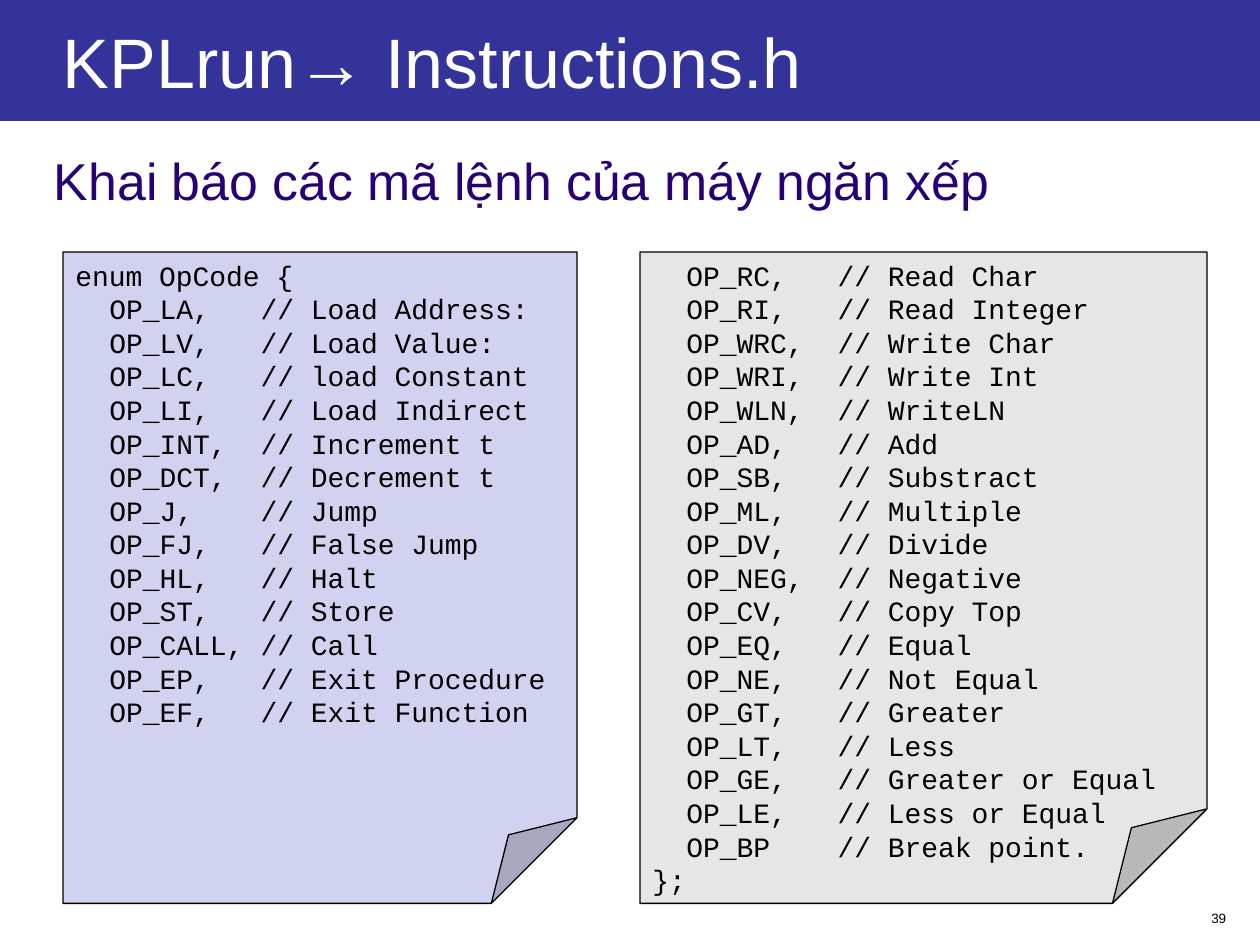
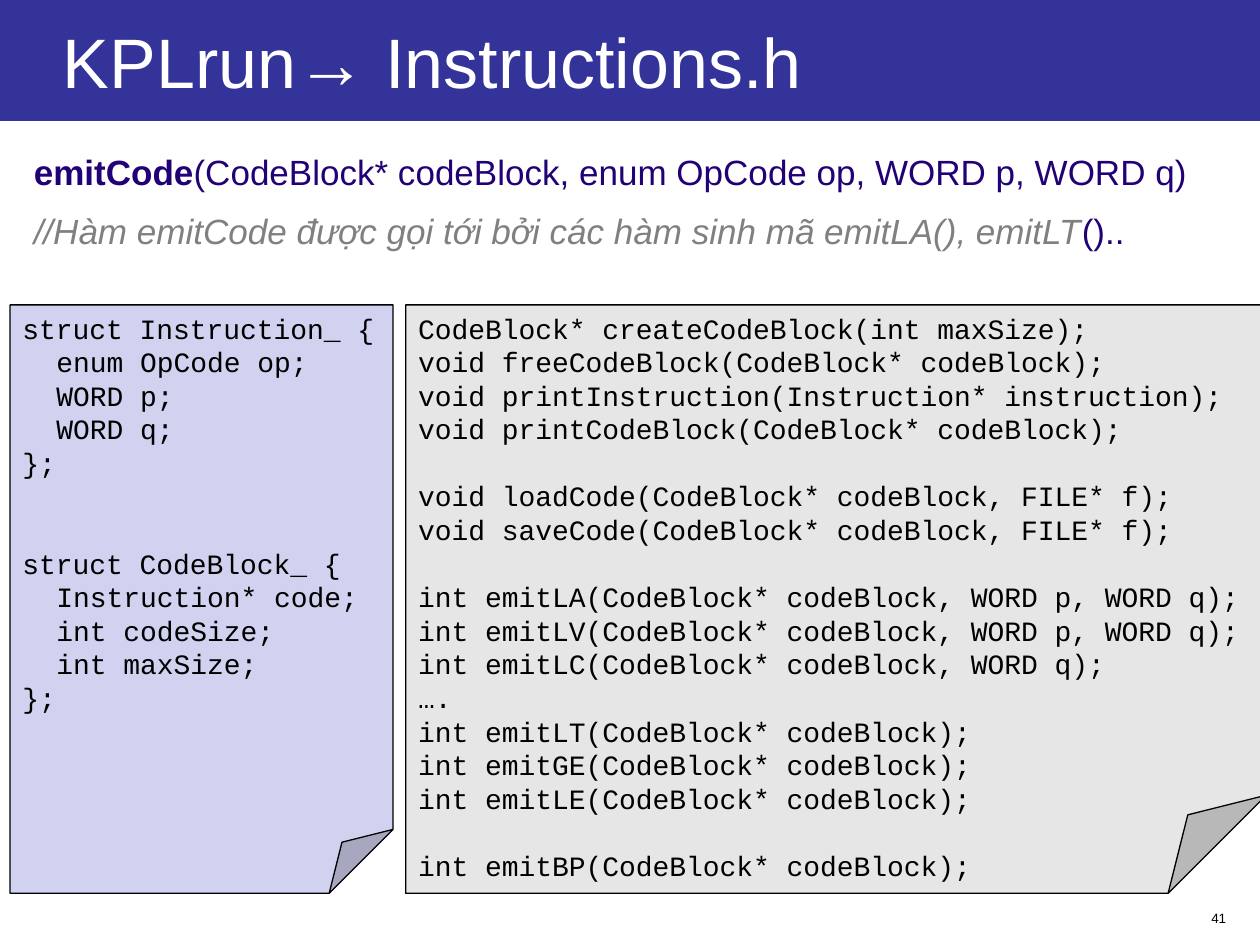
from lxml import etree
from pptx import Presentation
from pptx.dml.color import RGBColor
from pptx.enum.shapes import MSO_SHAPE
from pptx.enum.text import MSO_ANCHOR, PP_ALIGN
from pptx.oxml.ns import qn
from pptx.util import Inches, Pt

RECTANGLE = MSO_SHAPE.RECTANGLE
FOLDED_CORNER = MSO_SHAPE.FOLDED_CORNER
LEFT, RIGHT = PP_ALIGN.LEFT, PP_ALIGN.RIGHT
TOP, MIDDLE = MSO_ANCHOR.TOP, MSO_ANCHOR.MIDDLE

COLORS = {
    "band": "333399",
    "white": "FFFFFF",
    "black": "000000",
    "heading": "270076",
    "signature": "220076",
    "remark": "808080",
    "lilac": "D1D1F0",
    "gray": "E6E6E6",
}
TEXT_FONT = "Arial"
CODE_FONT = "Courier New"
CODE_SIZE = 16
CODE_LINE = 19.2
CODE_TABS = (0.27, 1.47)  # code indent and comment column, in inches
HANGING = 0.38
TITLE = "KPLrun→ Instructions.h"

OPCODES_LEFT = """enum OpCode {
\tOP_LA,\t// Load Address:
\tOP_LV,\t// Load Value:
\tOP_LC,\t// load Constant
\tOP_LI,\t// Load Indirect
\tOP_INT,\t// Increment t
\tOP_DCT,\t// Decrement t
\tOP_J,\t// Jump
\tOP_FJ,\t// False Jump
\tOP_HL,\t// Halt
\tOP_ST,\t// Store
\tOP_CALL,\t// Call
\tOP_EP,\t// Exit Procedure
\tOP_EF,\t// Exit Function"""

OPCODES_RIGHT = """\tOP_RC,\t// Read Char
\tOP_RI,\t// Read Integer
\tOP_WRC,\t// Write Char
\tOP_WRI,\t// Write Int
\tOP_WLN,\t// WriteLN
\tOP_AD,\t// Add
\tOP_SB,\t// Substract
\tOP_ML,\t// Multiple
\tOP_DV,\t// Divide
\tOP_NEG,\t// Negative
\tOP_CV,\t// Copy Top
\tOP_EQ,\t// Equal
\tOP_NE,\t// Not Equal
\tOP_GT,\t// Greater
\tOP_LT,\t// Less
\tOP_GE,\t// Greater or Equal
\tOP_LE,\t// Less or Equal
\tOP_BP\t// Break point.
};"""

STRUCTS = """struct Instruction_ {
\tenum OpCode op;
\tWORD p;
\tWORD q;
};


struct CodeBlock_ {
\tInstruction* code;
\tint codeSize;
\tint maxSize;
};"""

FUNCTIONS = """CodeBlock* createCodeBlock(int maxSize);
void freeCodeBlock(CodeBlock* codeBlock);
void printInstruction(Instruction* instruction);
void printCodeBlock(CodeBlock* codeBlock);

void loadCode(CodeBlock* codeBlock, FILE* f);
void saveCode(CodeBlock* codeBlock, FILE* f);

int emitLA(CodeBlock* codeBlock, WORD p, WORD q);
int emitLV(CodeBlock* codeBlock, WORD p, WORD q);
int emitLC(CodeBlock* codeBlock, WORD q);
….
int emitLT(CodeBlock* codeBlock);
int emitGE(CodeBlock* codeBlock);
int emitLE(CodeBlock* codeBlock);

int emitBP(CodeBlock* codeBlock);"""


def rgb(color):
    return RGBColor.from_string(COLORS[color])


def format_run(run, size, color, font=TEXT_FONT, bold=False, italic=False):
    run.font.name = font
    run.font.size = Pt(size)
    run.font.color.rgb = rgb(color)
    run.font.bold = bold
    run.font.italic = italic


def add_filled_shape(slide, preset, box, fill):
    shape = slide.shapes.add_shape(preset, *map(Inches, box))
    shape.shadow.inherit = False
    shape.fill.solid()
    shape.fill.fore_color.rgb = rgb(fill)
    shape.line.fill.background()
    shape.text_frame.word_wrap = True
    return shape


def add_text_box(slide, box):
    text_frame = slide.shapes.add_textbox(*map(Inches, box)).text_frame
    text_frame.word_wrap = True
    return text_frame


def add_title(slide):
    band = add_filled_shape(slide, RECTANGLE, (0, 0, 10, 0.96), "band")
    text_frame = band.text_frame
    text_frame.margin_left = Inches(0.5)
    text_frame.vertical_anchor = MIDDLE
    text_frame.text = TITLE
    paragraph = text_frame.paragraphs[0]
    paragraph.alignment = LEFT
    format_run(paragraph.runs[0], 40, "white")


def add_slide_number(slide, number):
    text_frame = add_text_box(slide, (7.75, 7.17, 2.08, 0.24))
    text_frame.text = str(number)
    paragraph = text_frame.paragraphs[0]
    paragraph.alignment = RIGHT
    format_run(paragraph.runs[0], 7.7, "black")


def add_intro(slide, box, lines, size, line_spacing, space_before):
    """Each line is a list of (text, colour, font options) pieces."""
    text_frame = add_text_box(slide, box)
    for index, pieces in enumerate(lines):
        paragraph = text_frame.add_paragraph() if index else text_frame.paragraphs[0]
        paragraph.line_spacing = line_spacing
        paragraph.space_before = Pt(space_before)
        properties = paragraph._p.get_or_add_pPr()
        properties.set("marL", str(Inches(HANGING)))
        properties.set("indent", str(-Inches(HANGING)))
        for text, color, options in pieces:
            run = paragraph.add_run()
            run.text = text
            format_run(run, size, color, **options)


def set_code_tabs(paragraph):
    tab_list = etree.SubElement(paragraph._p.get_or_add_pPr(), qn("a:tabLst"))
    for position in CODE_TABS:
        etree.SubElement(tab_list, qn("a:tab"), pos=str(Inches(position)), algn="l")


def add_code_note(slide, box, fill, code):
    """Blank lines in the code become space before the next line."""
    note = add_filled_shape(slide, FOLDED_CORNER, box, fill)
    note.line.color.rgb = rgb("black")
    note.line.width = Pt(0.75)
    text_frame = note.text_frame
    text_frame.vertical_anchor = TOP
    lines = code.split("\n")
    text_frame.text = "\n".join(line for line in lines if line)
    paragraphs = iter(text_frame.paragraphs)
    blank_lines = 0
    for line in lines:
        if not line:
            blank_lines += 1
            continue
        paragraph = next(paragraphs)
        paragraph.alignment = LEFT
        paragraph.line_spacing = Pt(CODE_LINE)
        paragraph.space_before = Pt(CODE_LINE * blank_lines)
        blank_lines = 0
        set_code_tabs(paragraph)
        for run in paragraph.runs:
            format_run(run, CODE_SIZE, "black", CODE_FONT)


def add_content_slide(presentation, number):
    slide = presentation.slides.add_slide(presentation.slide_layouts[6])
    add_slide_number(slide, number)
    add_title(slide)
    return slide


def add_opcode_slide(presentation):
    slide = add_content_slide(presentation, 39)
    heading = [[("Khai báo các mã lệnh của máy ngăn xếp", "heading", {})]]
    add_intro(slide, (0.33, 1.08, 9.38, 0.67), heading, 29.6, 1.1, 8)
    add_code_note(slide, (0.5, 2, 4.08, 5.17), "lilac", OPCODES_LEFT)
    add_code_note(slide, (5.08, 2, 4.5, 5.17), "gray", OPCODES_RIGHT)


def add_emit_code_slide(presentation):
    slide = add_content_slide(presentation, 41)
    add_code_note(slide, (0.08, 2.42, 3.04, 4.67), "lilac", STRUCTS)
    add_code_note(slide, (3.22, 2.42, 6.83, 4.67), "gray", FUNCTIONS)
    signature = [
        ("emitCode", "signature", {"bold": True}),
        ("(CodeBlock* codeBlock, enum OpCode op, WORD p, WORD q)", "signature", {}),
    ]
    remark = [
        ("//Hàm emitCode được gọi tới bởi các hàm sinh mã emitLA(), emitLT",
         "remark", {"italic": True}),
        ("()..", "signature", {}),
    ]
    add_intro(slide, (0.17, 1.08, 9.5, 1), [signature, remark], 20, 1.2, 5)


def main():
    presentation = Presentation()
    presentation.slide_width = Inches(10)
    presentation.slide_height = Inches(7.5)
    add_opcode_slide(presentation)
    add_emit_code_slide(presentation)
    presentation.save("out.pptx")


if __name__ == "__main__":
    main()
